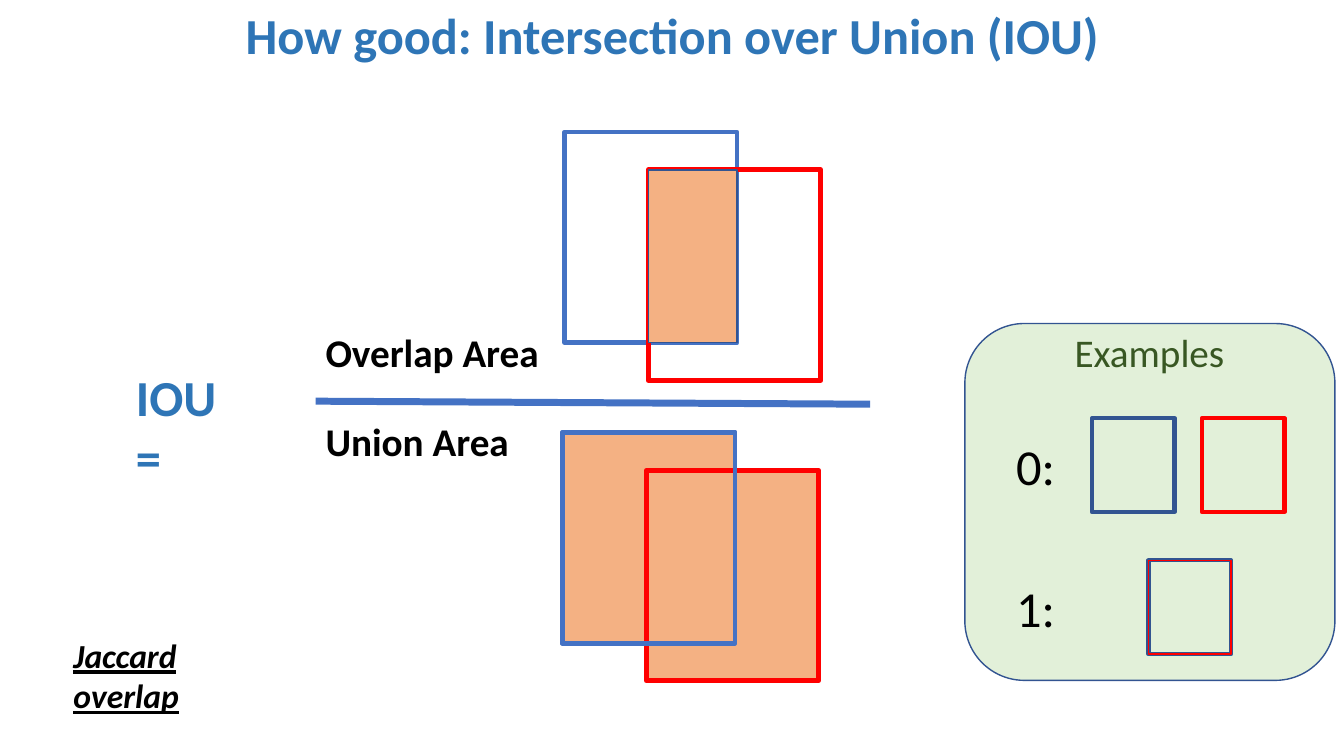
from lxml import etree
from pptx import Presentation
from pptx.dml.color import RGBColor
from pptx.enum.shapes import MSO_CONNECTOR, MSO_SHAPE
from pptx.enum.text import MSO_ANCHOR, MSO_AUTO_SIZE, PP_ALIGN
from pptx.oxml.ns import qn
from pptx.util import Inches, Pt

RECTANGLE, ROUNDED = MSO_SHAPE.RECTANGLE, MSO_SHAPE.ROUNDED_RECTANGLE
STRAIGHT = MSO_CONNECTOR.STRAIGHT
LEFT, CENTER = PP_ALIGN.LEFT, PP_ALIGN.CENTER
TOP, MIDDLE = MSO_ANCHOR.TOP, MSO_ANCHOR.MIDDLE
NO_AUTOFIT = MSO_AUTO_SIZE.NONE

FONT = "Calibri"
BLUE, NAVY, RED = "4472C4", "325491", "FF0000"
HEADING, ORANGE = "2E75B6", "F4B183"
PALE_GREEN, DARK_GREEN, BLACK = "E2F0D9", "385723", "000000"

TITLE = "How good: Intersection over Union (IOU)"
TITLE_BOX = (0.92, -0.02, 11.5, 0.79)
LABELS = [
    ("Overlap Area", (3.13, 3.21, 2.48, 0.57), dict(size=28, bold=True)),
    ("Union Area", (3.13, 4.09, 2.48, 0.57), dict(size=28, bold=True)),
    ("IOU\v=", (1.25, 3.58, 1.52, 1.31), dict(size=36, bold=True, color=HEADING)),
    ("Examples", (10.34, 3.21, 2.12, 0.57), dict(size=28, color=DARK_GREEN, align=CENTER)),
    ("Jaccard overlap", (0.63, 6.25, 2.34, 0.5),
     dict(size=24, bold=True, italic=True, underline=True)),
]
FRACTION_BAR = (3.13, 3.98, 8.63, 4.01)

BOX_SIZE = (1.71, 2.09)
BOX_SHIFT = (0.83, 0.375)
OVERLAP_ORIGIN = (5.6, 1.31)
UNION_ORIGIN = (5.58, 4.29)

PANEL = (9.57, 3.21, 3.67, 3.54)
SAMPLE_SIZE = (0.82, 0.93)
EXAMPLES = [
    ("0:", 4.15, [(10.83, NAVY, 3), (11.92, RED, 3)]),
    ("1:", 5.56, [(11.39, NAVY, 3), (11.39, RED, 1)]),
]


def rgb(value):
    return RGBColor.from_string(value)


def write(shape, text, size=28, color=BLACK, bold=False, italic=False,
          underline=False, align=LEFT, anchor=TOP, spacing=1.0):
    frame = shape.text_frame
    frame.text = text
    frame.word_wrap = True
    frame.auto_size = NO_AUTOFIT
    frame.vertical_anchor = anchor
    paragraph = frame.paragraphs[0]
    paragraph.alignment = align
    paragraph.line_spacing = spacing
    for run in paragraph.runs:
        font = run.font
        font.name, font.size = FONT, Pt(size)
        font.bold, font.italic, font.underline = bold, italic, underline
        font.color.rgb = rgb(color)


def add_label(slide, text, box, **style):
    write(slide.shapes.add_textbox(*map(Inches, box)), text, **style)


def add_box(slide, box, line, width, fill=None, kind=RECTANGLE):
    shape = slide.shapes.add_shape(kind, *map(Inches, box))
    shape.shadow.inherit = False
    if fill:
        shape.fill.solid()
        shape.fill.fore_color.rgb = rgb(fill)
    else:
        shape.fill.background()
    shape.line.color.rgb = rgb(line)
    shape.line.width = Pt(width)


def add_title(slide):
    title = slide.shapes.title
    title.left, title.top, title.width, title.height = map(Inches, TITLE_BOX)
    write(title, TITLE, size=36, bold=True, color=HEADING,
          align=CENTER, anchor=MIDDLE, spacing=0.9)


def add_fraction_bar(slide):
    bar = slide.shapes.add_connector(STRAIGHT, *map(Inches, FRACTION_BAR))
    bar.line.color.rgb = rgb(BLUE)
    bar.line.width = Pt(5)
    etree.SubElement(bar._element.spPr, qn("a:effectLst"))


def add_box_pair(slide, origin, fill=None):
    shifted = tuple(start + shift for start, shift in zip(origin, BOX_SHIFT))
    add_box(slide, origin + BOX_SIZE, BLUE, 3.5, fill)
    add_box(slide, shifted + BOX_SIZE, RED, 3.5, fill)
    return shifted


def add_overlap(slide):
    shifted = add_box_pair(slide, OVERLAP_ORIGIN)
    common = tuple(size - shift for size, shift in zip(BOX_SIZE, BOX_SHIFT))
    add_box(slide, shifted + common, NAVY, 1, ORANGE)


def add_union(slide):
    add_box_pair(slide, UNION_ORIGIN, ORANGE)
    add_box(slide, UNION_ORIGIN + BOX_SIZE, BLUE, 3.5)


def add_examples(slide):
    add_box(slide, PANEL, NAVY, 1, PALE_GREEN, ROUNDED)
    for score, top, samples in EXAMPLES:
        add_label(slide, score, (9.98, top + 0.12, 0.65, 0.71), size=36)
        for left, line, width in samples:
            add_box(slide, (left, top) + SAMPLE_SIZE, line, width)


def main():
    presentation = Presentation()
    presentation.slide_width = Inches(13.33)
    presentation.slide_height = Inches(7.5)
    slide = presentation.slides.add_slide(presentation.slide_layouts[5])
    add_title(slide)
    add_fraction_bar(slide)
    add_overlap(slide)
    add_union(slide)
    add_examples(slide)
    for text, box, style in LABELS:
        add_label(slide, text, box, **style)
    presentation.save("out.pptx")


if __name__ == "__main__":
    main()
